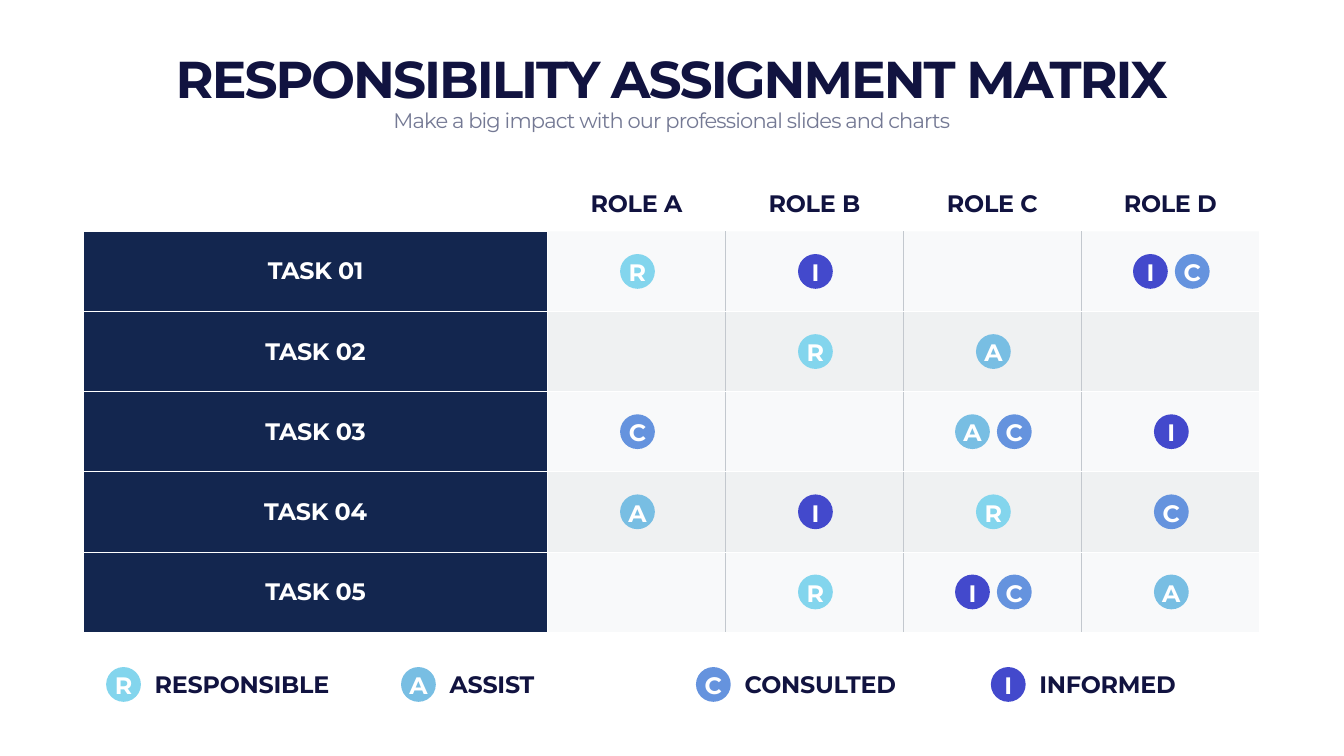
from dataclasses import dataclass

import lxml.etree
import pptx
import pptx.dml.color
import pptx.enum.shapes
import pptx.enum.text
import pptx.oxml
import pptx.oxml.ns
import pptx.util

Inches = pptx.util.Inches
ALIGN = pptx.enum.text.PP_ALIGN
ANCHOR = pptx.enum.text.MSO_ANCHOR


@dataclass(frozen=True)
class Style:
    size: float
    color: str
    bold: bool
    spacing: float


@dataclass(frozen=True)
class Theme:
    font: str = "Montserrat"
    white: str = "FFFFFF"
    navy: str = "13264F"
    grid: str = "C3C8CE"
    title: Style = Style(74, "111340", True, -2.9)
    subtitle: Style = Style(30, "747994", False, -1.2)
    label: Style = Style(34, "111340", True, -0.3)
    inverse: Style = Style(34, "FFFFFF", True, -0.3)


@dataclass(frozen=True)
class Duty:
    letter: str
    name: str
    color: str


@dataclass(frozen=True)
class Task:
    name: str
    duties: tuple[str, ...]


THEME = Theme()
DUTIES = (
    Duty("R", "RESPONSIBLE", "83D5ED"),
    Duty("A", "ASSIST", "78BEE3"),
    Duty("C", "CONSULTED", "6593DE"),
    Duty("I", "INFORMED", "4349CC"),
)
BY_LETTER = {duty.letter: duty for duty in DUTIES}
ROLES = ("ROLE A", "ROLE B", "ROLE C", "ROLE D")
TASKS = (
    Task("TASK 01", ("R", "I", "", "IC")),
    Task("TASK 02", ("", "R", "A", "")),
    Task("TASK 03", ("C", "", "AC", "I")),
    Task("TASK 04", ("A", "I", "R", "C")),
    Task("TASK 05", ("", "R", "IC", "A")),
)

LEFT, WIDTH = 1.66, 23.33
TABLE_TOP, HEADER_H, ROW_H = 3.52, 1.07, 1.59
TASK_W, ROLE_W = 9.2, 3.53
BADGE, BADGE_STEP, BADGE_SHIFT = 0.69, 0.83, 0.02
LEGEND_X, LEGEND_Y, LEGEND_STEP = 2.45, 13.58, 5.85


def rgb(color: str) -> pptx.dml.color.RGBColor:
    return pptx.dml.color.RGBColor.from_string(color)


def write(tf, text: str, style: Style, align=ALIGN.CENTER) -> None:
    tf.text = text
    p = tf.paragraphs[0]
    p.alignment = align
    r = p.runs[0]
    r.font.name = THEME.font
    r.font.size = pptx.util.Pt(style.size)
    r.font.bold = style.bold
    r.font.color.rgb = rgb(style.color)
    r.font._element.set("spc", str(round(style.spacing * 100)))


def add_text(s, x: float, y: float, w: float, h: float, text: str,
             style: Style, align=ALIGN.CENTER) -> None:
    sp = s.shapes.add_textbox(Inches(x), Inches(y), Inches(w), Inches(h))
    tf = sp.text_frame
    tf.word_wrap = True
    tf.vertical_anchor = ANCHOR.MIDDLE
    write(tf, text, style, align)


def add_badge(s, cx: float, cy: float, duty: Duty) -> None:
    sp = s.shapes.add_shape(
        pptx.enum.shapes.MSO_SHAPE.OVAL,
        Inches(cx - BADGE / 2), Inches(cy - BADGE / 2), Inches(BADGE), Inches(BADGE))
    sp.shadow.inherit = False
    sp.fill.solid()
    sp.fill.fore_color.rgb = rgb(duty.color)
    sp.line.fill.background()
    tf = sp.text_frame
    tf.word_wrap = False
    tf.margin_left = tf.margin_right = tf.margin_bottom = 0
    tf.margin_top = Inches(0.03)
    tf.vertical_anchor = ANCHOR.MIDDLE
    write(tf, duty.letter, THEME.inverse)


def set_borders(cell, colors: tuple[str | None, ...]) -> None:
    tc_pr = cell._tc.get_or_add_tcPr()
    for i, (side, color) in enumerate(zip("LRTB", colors)):
        ln = pptx.oxml.parse_xml(f'<a:ln{side} {pptx.oxml.ns.nsdecls("a")} w="12700"/>')
        if color is None:
            lxml.etree.SubElement(ln, pptx.oxml.ns.qn("a:noFill"))
        else:
            fill = lxml.etree.SubElement(ln, pptx.oxml.ns.qn("a:solidFill"))
            lxml.etree.SubElement(fill, pptx.oxml.ns.qn("a:srgbClr"), val=color)
        tc_pr.insert(i, ln)


def fill_cell(cell, color: str, alpha: int = 100) -> None:
    cell.fill.solid()
    cell.fill.fore_color.rgb = rgb(color)
    if alpha < 100:
        clr = cell._tc.tcPr.find(".//" + pptx.oxml.ns.qn("a:srgbClr"))
        lxml.etree.SubElement(clr, pptx.oxml.ns.qn("a:alpha"), val=str(alpha * 1000))


def label_cell(cell, text: str, style: Style) -> None:
    cell.vertical_anchor = ANCHOR.MIDDLE
    write(cell.text_frame, text, style)


def add_matrix(s) -> None:
    frame = s.shapes.add_table(
        len(TASKS) + 1, len(ROLES) + 1, Inches(LEFT), Inches(TABLE_TOP),
        Inches(WIDTH), Inches(HEADER_H + ROW_H * len(TASKS)))
    table = frame.table
    table.first_row = table.horz_banding = False
    for i, column in enumerate(table.columns):
        column.width = Inches(ROLE_W if i else TASK_W)
    for i, row in enumerate(table.rows):
        row.height = Inches(ROW_H if i else HEADER_H)

    for col in range(len(ROLES) + 1):
        cell = table.cell(0, col)
        cell.fill.background()
        set_borders(cell, (None,) * 4)
        if col:
            label_cell(cell, ROLES[col - 1], THEME.label)

    for row, task in enumerate(TASKS, 1):
        cell = table.cell(row, 0)
        fill_cell(cell, THEME.navy)
        set_borders(cell, (THEME.white,) * 4)
        label_cell(cell, task.name, THEME.inverse)
        cy = TABLE_TOP + HEADER_H + ROW_H * (row - 0.5)
        for col, letters in enumerate(task.duties, 1):
            cell = table.cell(row, col)
            fill_cell(cell, THEME.grid, 10 if row % 2 else 25)
            set_borders(cell, (
                THEME.white if col == 1 else THEME.grid,
                THEME.white if col == len(ROLES) else THEME.grid,
                None if row == 1 else THEME.white,
                THEME.white))
            cx = LEFT + TASK_W + ROLE_W * (col - 0.5) + BADGE_SHIFT
            for i, letter in enumerate(letters):
                offset = (i - (len(letters) - 1) / 2) * BADGE_STEP
                add_badge(s, cx + offset, cy, BY_LETTER[letter])


def add_legend(s) -> None:
    for i, duty in enumerate(DUTIES):
        cx = LEGEND_X + LEGEND_STEP * i
        add_badge(s, cx, LEGEND_Y, duty)
        add_text(s, cx + 0.52, 13.23, 3.74, 0.67, duty.name, THEME.label, ALIGN.LEFT)


def add_title(s, text: str) -> None:
    sp = s.shapes.title
    sp.left, sp.top = Inches(LEFT), Inches(0.82)
    sp.width, sp.height = Inches(WIDTH), Inches(1.35)
    tf = sp.text_frame
    tf.margin_top = tf.margin_bottom = 0
    tf.vertical_anchor = ANCHOR.BOTTOM
    tf.auto_size = pptx.enum.text.MSO_AUTO_SIZE.NONE
    write(tf, text, THEME.title)


prs = pptx.Presentation()
prs.slide_width, prs.slide_height = Inches(26.66), Inches(15)
s = prs.slides.add_slide(prs.slide_layouts.get_by_name("Title Only"))
add_title(s, "RESPONSIBILITY ASSIGNMENT MATRIX")
add_text(s, LEFT, 2.07, WIDTH, 0.61,
         "Make a big impact with our professional slides and charts", THEME.subtitle)
add_matrix(s)
add_legend(s)
prs.save("out.pptx")
